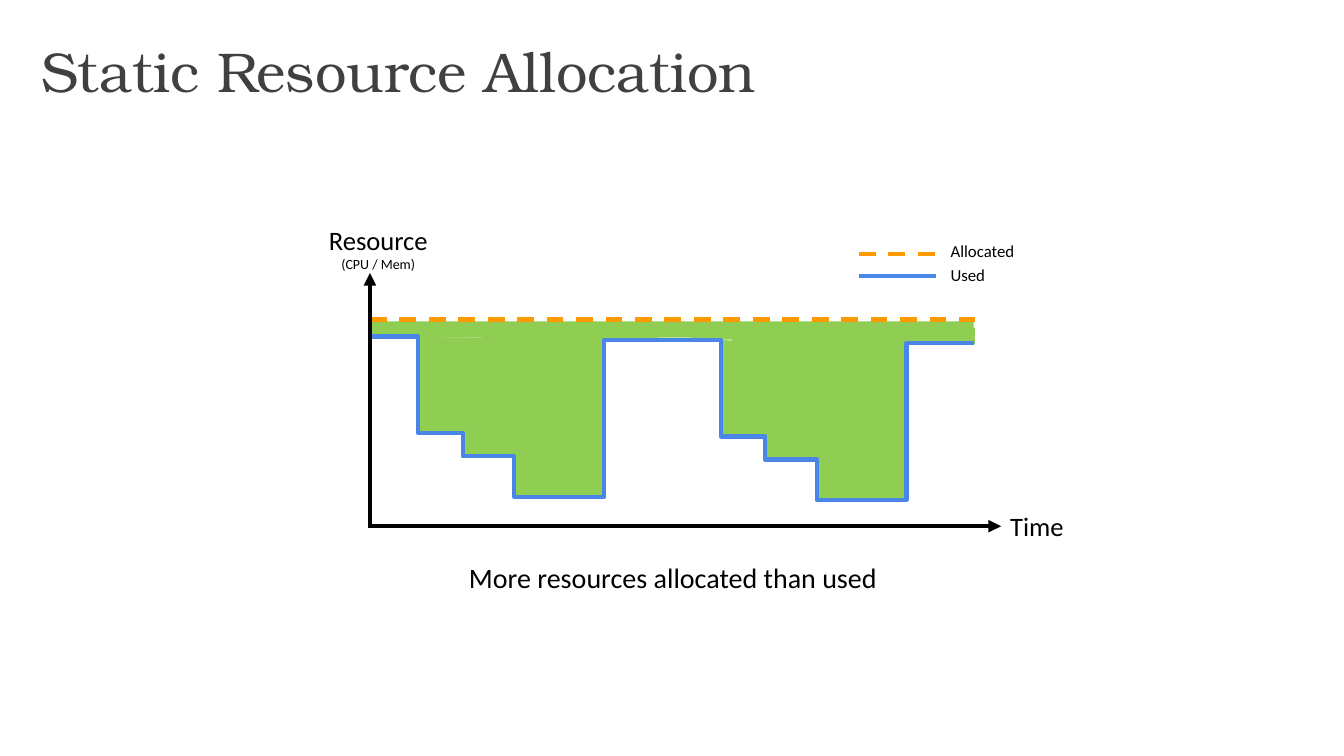
"""Build a slide that compares statically allocated resources with used ones."""
from lxml.etree import SubElement
from pptx import Presentation
from pptx.dml.color import RGBColor
from pptx.enum.dml import MSO_LINE_DASH_STYLE as Dash
from pptx.enum.shapes import MSO_CONNECTOR_TYPE as Connector, MSO_SHAPE as Preset
from pptx.enum.text import MSO_ANCHOR as Anchor, MSO_AUTO_SIZE as AutoSize, PP_ALIGN as Align
from pptx.oxml.ns import qn
from pptx.util import Cm, Pt

COLORS = {
    "text": "000000",
    "title": "404040",
    "allocated": "FF9900",
    "used": "4A86E8",
    "surplus": "90CD53",
}
TITLE = "Static Resource Allocation"
CAPTION = "More resources allocated than used"
LABELS = [
    ((23.7, 5.8, 2.77, 1.04), [("Allocated", 12)], Align.LEFT),
    ((23.7, 6.4, 2.26, 1.04), [("Used", 12)], Align.LEFT),
    ((24.97, 12.73, 2.31, 1.04), [("Time", 19)], Align.CENTER),
    ((7.75, 5.49, 3.56, 1.52), [("Resource", 19), ("(CPU / Mem)", 10)], Align.CENTER),
]
SURPLUS_BANDS = [
    (9.32, 8.1, 15.21, 0.41),
    (18.44, 8.31, 4.42, 0.66),
    (20.14, 8.26, 4.42, 0.41),
    (17.42, 8.15, 4.42, 0.41),
    (12.14, 8.15, 4.42, 0.41),
]
USAGE_STEPS = [(1.24, 0), (2.36, 2.44), (3.66, 3.02), (5.92, 4.04), (7.63, 0.08)]
CYCLE_START = (9.3, 8.48)
CYCLE_SHIFT = (7.62, 0.08)
CYCLES = 2


def write_text(frame, lines, font="Calibri", color="text", align=Align.LEFT,
               anchor=Anchor.MIDDLE, margins=(0.25, 0.25), fit=AutoSize.NONE):
    """Fill a text frame with (text, size) lines."""
    frame.word_wrap = True
    frame.auto_size = fit
    frame.vertical_anchor = anchor
    frame.margin_left = frame.margin_right = Cm(margins[0])
    frame.margin_top = frame.margin_bottom = Cm(margins[1])
    for index, (text, size) in enumerate(lines):
        paragraph = frame.add_paragraph() if index else frame.paragraphs[0]
        paragraph.text = text
        paragraph.alignment = align
        paragraph.font.name = font
        paragraph.font.size = Pt(size)
        paragraph.font.color.rgb = RGBColor.from_string(COLORS[color])


def set_line(line, color):
    line.color.rgb = RGBColor.from_string(COLORS[color])
    line.width = Pt(3)


def set_fill(shape, color):
    shape.shadow.inherit = False
    shape.fill.solid()
    shape.fill.fore_color.rgb = RGBColor.from_string(COLORS[color])


def add_line(shapes, start, end, color="text", dashed=False, arrow=False):
    connector = shapes.add_connector(Connector.STRAIGHT, *map(Cm, start + end))
    set_line(connector.line, color)
    if dashed:
        connector.line.dash_style = Dash.DASH
    if arrow:
        SubElement(connector.line._get_or_add_ln(), qn("a:tailEnd"), type="triangle")
    SubElement(connector._element.spPr, qn("a:effectLst"))


def add_usage_cycle(shapes, left, top):
    builder = shapes.build_freeform(Cm(left), Cm(top))
    points = []
    x = 0
    for end, depth in USAGE_STEPS:
        points += [(x, depth), (end, depth)]
        x = end
    builder.add_line_segments(
        [(Cm(left + x), Cm(top + y)) for x, y in points[1:]], close=False)
    cycle = builder.convert_to_shape()
    set_fill(cycle, "surplus")
    set_line(cycle.line, "used")


def add_usage_chart(shapes):
    chart = shapes.add_group_shape().shapes
    for band in SURPLUS_BANDS:
        rectangle = chart.add_shape(Preset.RECTANGLE, *map(Cm, band))
        set_fill(rectangle, "surplus")
        rectangle.line.fill.background()
    for cycle in range(CYCLES):
        left, top = (start + cycle * shift
                     for start, shift in zip(CYCLE_START, CYCLE_SHIFT))
        add_usage_cycle(chart, left, top)
    add_line(chart, (9.32, 8.05), (24.56, 8.05), "allocated", dashed=True)


def main():
    presentation = Presentation()
    presentation.slide_width, presentation.slide_height = Cm(33.86), Cm(19.05)
    slide = presentation.slides.add_slide(presentation.slide_layouts[5])
    shapes = slide.shapes

    title = shapes.title
    title.left, title.top, title.width, title.height = map(Cm, (0.71, 0.58, 23.77, 2.39))
    write_text(title.text_frame, [(TITLE, 40)], font="TeX Gyre Bonum", color="title",
               margins=(0.33, 0.18))

    caption = shapes.add_textbox(*map(Cm, (10.01, 14, 13.89, 1.12)))
    write_text(caption.text_frame, [(CAPTION, 20)], align=Align.CENTER,
               anchor=Anchor.TOP, margins=(0.25, 0.13), fit=AutoSize.SHAPE_TO_FIT_TEXT)

    add_line(shapes, (9.27, 13.26), (25.22, 13.26), arrow=True)
    add_line(shapes, (21.64, 6.4), (23.72, 6.4), "allocated", dashed=True)
    add_line(shapes, (21.64, 6.96), (23.57, 6.96), "used")
    add_usage_chart(shapes)
    add_line(shapes, (9.32, 13.31), (9.32, 6.88), arrow=True)

    for box, lines, align in LABELS:
        label = shapes.add_textbox(*map(Cm, box))
        write_text(label.text_frame, lines, align=align)
    presentation.save("out.pptx")


if __name__ == "__main__":
    main()
